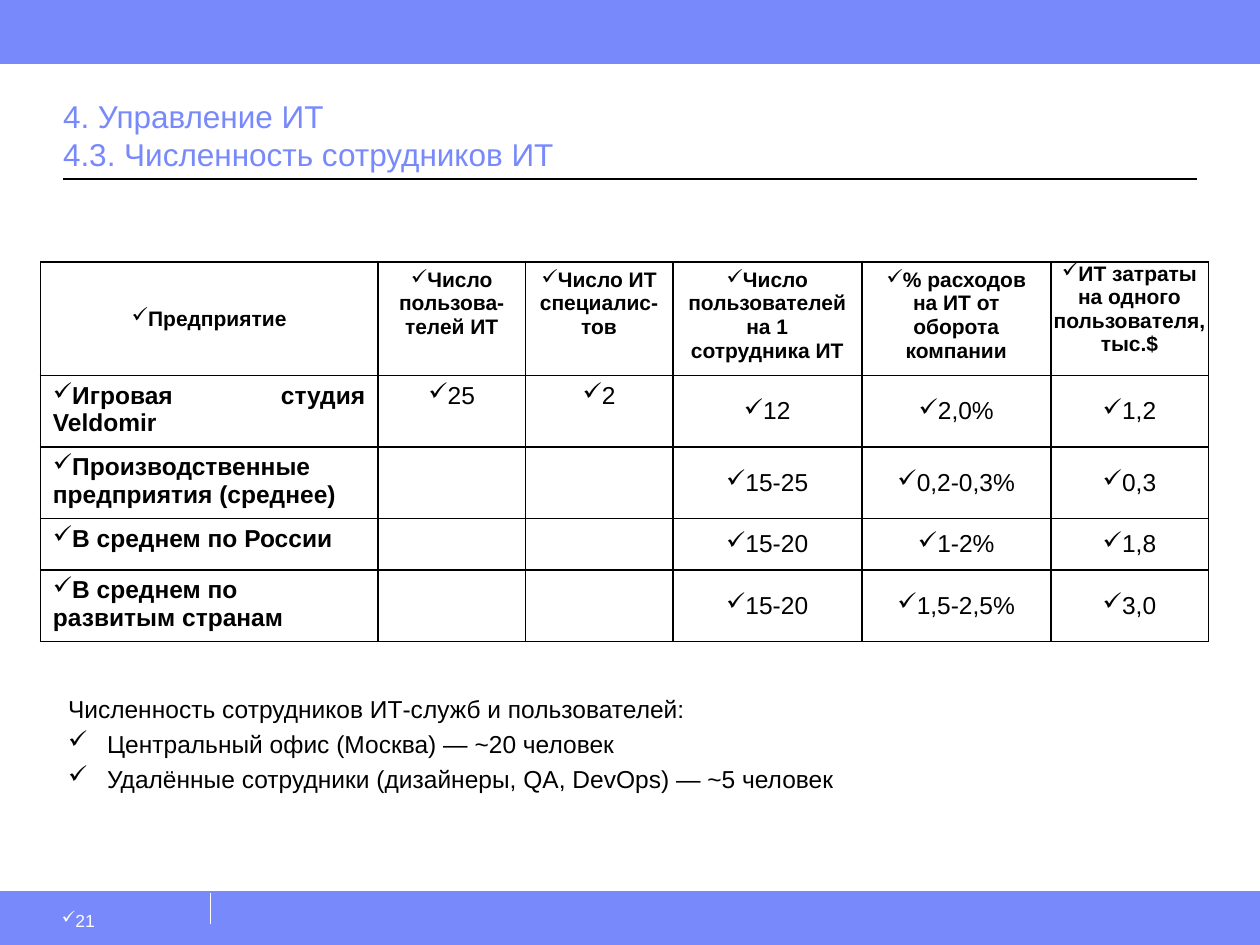
"""Build the slide on IT staff numbers, with its comparison table."""
from dataclasses import dataclass

from lxml.etree import SubElement
from pptx import Presentation
from pptx.dml.color import RGBColor
from pptx.enum.shapes import MSO_CONNECTOR, MSO_SHAPE
from pptx.enum.text import MSO_ANCHOR, MSO_AUTO_SIZE, PP_ALIGN
from pptx.oxml.ns import qn
from pptx.slide import Slide
from pptx.table import _Cell
from pptx.text.text import TextFrame, _Paragraph
from pptx.util import Emu, Inches, Pt

WIDTH, HEIGHT = Inches(10), Inches(7.5)


@dataclass(frozen=True)
class Theme:
    """Colours, font and type sizes of the slide."""
    accent: RGBColor = RGBColor(0x78, 0x89, 0xFB)
    ink: RGBColor = RGBColor(0, 0, 0)
    paper: RGBColor = RGBColor(255, 255, 255)
    font: str = "Arial"
    title: int = 18
    body: int = 14
    header: int = 12
    number: int = 10


@dataclass(frozen=True)
class Box:
    """A frame given as shares of the slide's width and height."""
    left: float
    top: float
    width: float
    height: float

    def frame(self) -> tuple[Emu, Emu, Emu, Emu]:
        """Return left, top, width and height as lengths."""
        return (Emu(int(WIDTH * self.left)), Emu(int(HEIGHT * self.top)),
                Emu(int(WIDTH * self.width)), Emu(int(HEIGHT * self.height)))


@dataclass(frozen=True)
class Rule:
    """A straight line; its box runs from the start by a width and height."""
    box: Box
    color: RGBColor
    weight: float


@dataclass(frozen=True)
class Column:
    """A table column: width in inches, cell margins and body anchor."""
    width: float
    margins: tuple[float, float, float, float]
    anchor: MSO_ANCHOR


THEME = Theme()
FOOTER_TOP = 7.08 / 7.5
BANDS = [Box(0, FOOTER_TOP, 1, 1 - FOOTER_TOP), Box(0, 0, 1, 0.5 / 7.5)]
RULES = [
    Rule(Box(0.167, FOOTER_TOP, 0, 0.25 / 7.5), THEME.paper, 0.75),
    Rule(Box(0, 0.42 / 7.5, 1, 0), THEME.accent, 0.5),
    Rule(Box(0, FOOTER_TOP, 1, 0), THEME.accent, 0.5),
    Rule(Box(0.05, 1.42 / 7.5, 0.9, 0), THEME.ink, 0.75),
]
TITLE_BOX = Box(0.05, 0.5 / 7.5, 0.9, 0.92 / 7.5)
NUMBER_BOX = Box(0.033, 7.15 / 7.5, 0.133, 0.35 / 7.5)
TABLE_BOX = Box(0.032, 2.08 / 7.5, 0.927, 2.22 / 7.5)
NOTES_BOX = Box(0.05, 5.42 / 7.5, 0.9, 1 / 7.5)

PADDED, FLUSH = (0.1, 0.05, 0.1, 0.05), (0, 0, 0, 0)
COLUMNS = [
    Column(2.68, PADDED, MSO_ANCHOR.TOP),
    Column(1.17, PADDED, MSO_ANCHOR.TOP),
    Column(1.17, PADDED, MSO_ANCHOR.TOP),
    Column(1.5, PADDED, MSO_ANCHOR.MIDDLE),
    Column(1.5, PADDED, MSO_ANCHOR.MIDDLE),
    Column(1.25, FLUSH, MSO_ANCHOR.MIDDLE),
]
ROW_HEIGHTS = [0.75, 0.4, 0.33, 0.41, 0.33]
ROWS = [
    ["Предприятие", "Число пользова-телей ИТ", "Число ИТ специалис-тов",
     "Число пользователей на 1 сотрудника ИТ", "% расходов на ИТ от оборота компании",
     "ИТ затраты на одного пользователя, тыс.$"],
    ["Игровая студия Veldomir", "25", "2", "12", "2,0%", "1,2"],
    ["Производственные предприятия (среднее)", "", "", "15-25", "0,2-0,3%", "0,3"],
    ["В среднем по России", "", "", "15-20", "1-2%", "1,8"],
    ["В среднем по развитым странам", "", "", "15-20", "1,5-2,5%", "3,0"],
]
NOTES = [
    "Численность сотрудников ИТ-служб и пользователей:",
    "Центральный офис (Москва) — ~20 человек",
    "Удалённые сотрудники (дизайнеры, QA, DevOps) — ~5 человек",
]


def add_tick(paragraph: _Paragraph, indent: float = 0) -> None:
    """Give a paragraph a tick bullet with a hanging indent in inches."""
    properties = paragraph._p.get_or_add_pPr()
    properties.set("marL", str(Inches(indent)))
    properties.set("indent", str(-Inches(indent)))
    SubElement(properties, qn("a:buChar")).set("char", "✓")


def style(paragraph: _Paragraph, size: int, color: RGBColor, bold: bool = False) -> None:
    """Set the font of a whole paragraph."""
    font = paragraph.font
    font.name, font.size, font.bold = THEME.font, Pt(size), bold
    font.color.rgb = color


def set_margins(target: TextFrame | _Cell, margins: tuple[float, float, float, float]) -> None:
    """Set left, top, right and bottom margins in inches."""
    (target.margin_left, target.margin_top,
     target.margin_right, target.margin_bottom) = map(Inches, margins)


def add_band(slide: Slide, box: Box) -> None:
    """Draw one coloured band across the slide."""
    shape = slide.shapes.add_shape(MSO_SHAPE.RECTANGLE, *box.frame())
    shape.shadow.inherit = False
    shape.fill.solid()
    shape.fill.fore_color.rgb = shape.line.color.rgb = THEME.accent
    shape.line.width = Pt(0.75)


def add_rule(slide: Slide, rule: Rule) -> None:
    """Draw one straight line."""
    left, top, width, height = rule.box.frame()
    connector = slide.shapes.add_connector(
        MSO_CONNECTOR.STRAIGHT, left, top, left + width, top + height)
    connector.line.color.rgb = rule.color
    connector.line.width = Pt(rule.weight)
    SubElement(connector._element.spPr, qn("a:effectLst"))


def add_text(slide: Slide, box: Box, margins: tuple[float, float, float, float]) -> TextFrame:
    """Add a wrapping text box and return its text frame."""
    text_frame = slide.shapes.add_textbox(*box.frame()).text_frame
    text_frame.word_wrap = True
    set_margins(text_frame, margins)
    return text_frame


def set_title(slide: Slide) -> None:
    """Place and format the title placeholder."""
    title = slide.shapes.title
    title.left, title.top, title.width, title.height = TITLE_BOX.frame()
    text_frame = title.text_frame
    text_frame.text = "4. Управление ИТ\v4.3. Численность сотрудников ИТ"
    text_frame.auto_size = MSO_AUTO_SIZE.NONE
    text_frame.vertical_anchor = MSO_ANCHOR.BOTTOM
    set_margins(text_frame, (0, 0.05, 0, 0.05))
    text_frame.paragraphs[0].alignment = PP_ALIGN.LEFT
    style(text_frame.paragraphs[0], THEME.title, THEME.accent)


def add_borders(cell: _Cell) -> None:
    """Draw a one-point border on all sides of a cell."""
    properties = cell._tc.get_or_add_tcPr()
    for side in ("lnL", "lnR", "lnT", "lnB"):
        line = SubElement(properties, qn(f"a:{side}"), w=str(Pt(1)))
        fill = SubElement(line, qn("a:solidFill"))
        SubElement(fill, qn("a:srgbClr"), val=str(THEME.ink))


def fill_cell(cell: _Cell, text: str, row: int, column: int) -> None:
    """Write and format one table cell."""
    is_header, is_name = row == 0, column == 0
    add_borders(cell)
    cell.fill.background()
    set_margins(cell, COLUMNS[column].margins)
    centred = is_name if is_header else COLUMNS[column].anchor == MSO_ANCHOR.MIDDLE
    cell.vertical_anchor = MSO_ANCHOR.MIDDLE if centred else MSO_ANCHOR.TOP
    paragraph = cell.text_frame.paragraphs[0]
    if text:
        paragraph.text = text
        add_tick(paragraph)
    if is_header or not is_name:
        paragraph.alignment = PP_ALIGN.CENTER
    else:
        paragraph.alignment = PP_ALIGN.LEFT if row == len(ROWS) - 1 else PP_ALIGN.JUSTIFY
    style(paragraph, THEME.header if is_header else THEME.body, THEME.ink, is_header or is_name)


def add_comparison(slide: Slide) -> None:
    """Add the table of companies and IT ratios."""
    table = slide.shapes.add_table(len(ROWS), len(COLUMNS), *TABLE_BOX.frame()).table
    table.first_row = table.horz_banding = False
    for index, column in enumerate(COLUMNS):
        table.columns[index].width = Inches(column.width)
    for row, (height, texts) in enumerate(zip(ROW_HEIGHTS, ROWS)):
        table.rows[row].height = Inches(height)
        for column, text in enumerate(texts):
            fill_cell(table.cell(row, column), text, row, column)


def add_notes(slide: Slide) -> None:
    """Add the staff summary below the table."""
    text_frame = add_text(slide, NOTES_BOX, (0.04, 0.04, 0.04, 0.04))
    text_frame.text = "\n".join(NOTES)
    for index, paragraph in enumerate(text_frame.paragraphs):
        paragraph.line_spacing = 1.2
        if index:
            add_tick(paragraph, 0.31)
        style(paragraph, THEME.body, THEME.ink)


def add_number(slide: Slide) -> None:
    """Add the slide number in the footer band."""
    paragraph = add_text(slide, NUMBER_BOX, (0.16, 0.07, 0.1, 0.05)).paragraphs[0]
    paragraph.text = "21"
    add_tick(paragraph)
    style(paragraph, THEME.number, THEME.paper)


def main() -> None:
    """Build and save the presentation."""
    presentation = Presentation()
    presentation.slide_width, presentation.slide_height = WIDTH, HEIGHT
    slide = presentation.slides.add_slide(presentation.slide_layouts[5])
    for band in BANDS:
        add_band(slide, band)
    for rule in RULES:
        add_rule(slide, rule)
    set_title(slide)
    add_number(slide)
    add_comparison(slide)
    add_notes(slide)
    presentation.save("out.pptx")


if __name__ == "__main__":
    main()
